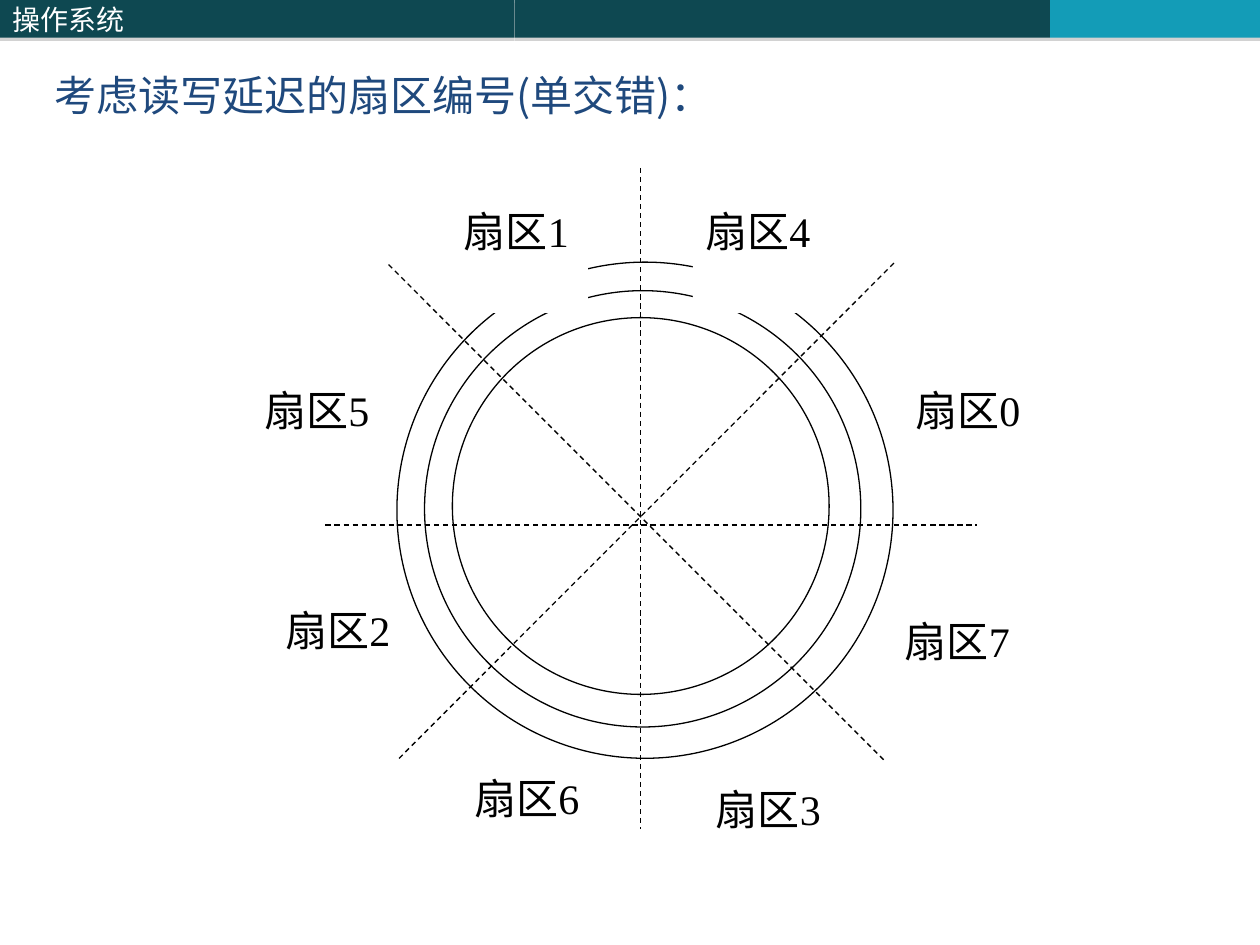
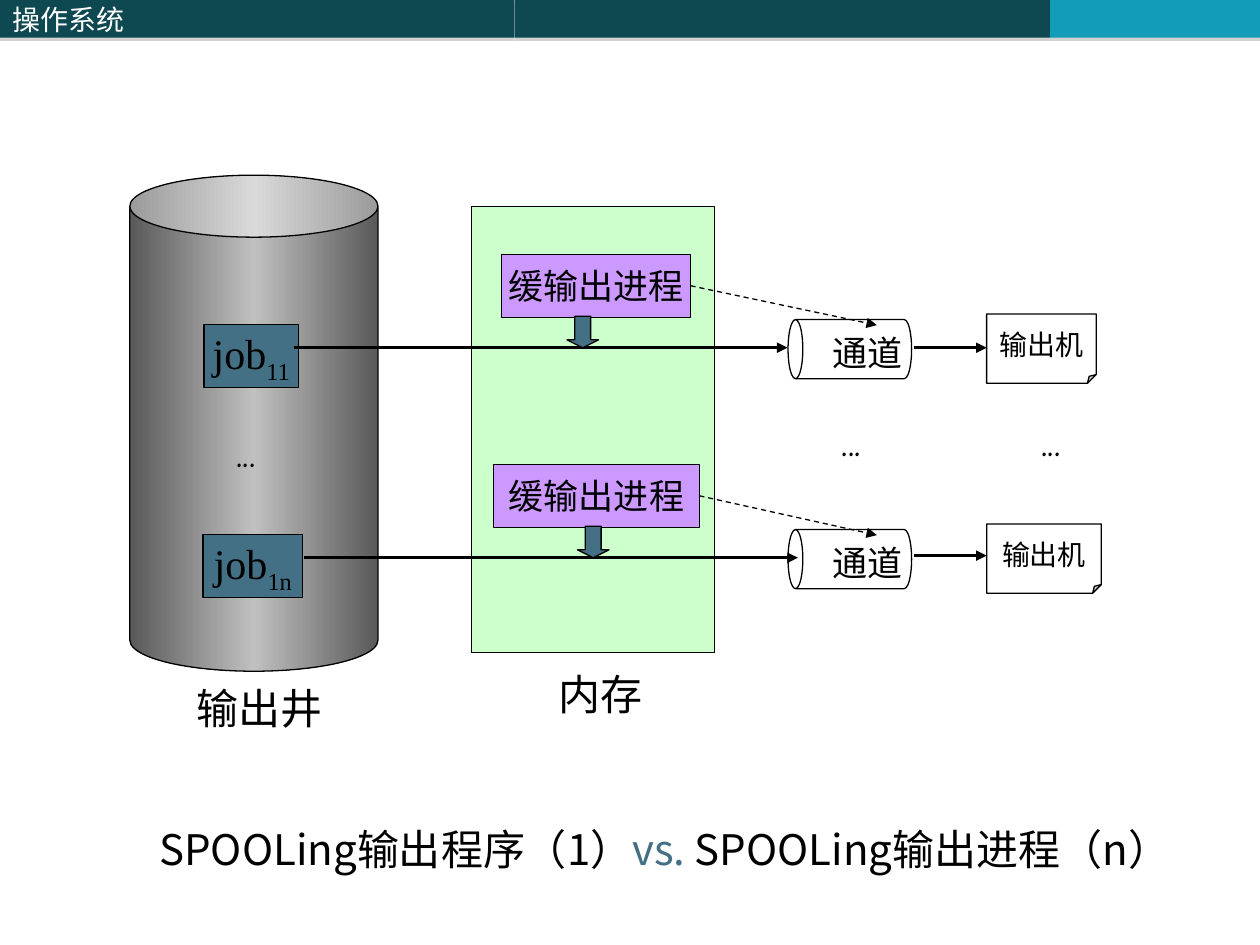
"""Build two operating-system slides: interleaved disk sectors and SPOOLing output."""
from copy import deepcopy

from pptx import Presentation
from pptx.dml.color import RGBColor
from pptx.enum.dml import MSO_LINE
from pptx.enum.shapes import MSO_CONNECTOR, MSO_SHAPE as SHAPE
from pptx.enum.text import MSO_ANCHOR as ANCHOR, PP_ALIGN as ALIGN
from pptx.oxml.ns import qn
from pptx.oxml.xmlchemy import OxmlElement
from pptx.util import Pt

BLACK = RGBColor(0x00, 0x00, 0x00)
WHITE = RGBColor(0xFF, 0xFF, 0xFF)
DARK_TEAL = RGBColor(0x0E, 0x48, 0x51)
CYAN = RGBColor(0x13, 0x9C, 0xB7)
TITLE_BLUE = RGBColor(0x1F, 0x49, 0x7D)
STEEL = RGBColor(0x43, 0x70, 0x85)
PALE_GREEN = RGBColor(0xCC, 0xFF, 0xCC)
VIOLET = RGBColor(0xCC, 0x99, 0xFF)
DARK_GREY = RGBColor(0x59, 0x59, 0x59)
SILVER = RGBColor(0xC0, 0xC0, 0xC0)

SANS = "Noto Sans CJK SC"
SERIF = "Times New Roman"
COMIC = "Comic Neue"
THIN, THICK = 0.75, 2
ROW_STEP = 120


def style_span(span, size, font, color):
    """Give a run its size, colour, and Latin and East Asian fonts."""
    span.font.size = Pt(size)
    span.font.name = font
    span.font.color.rgb = color
    east_asian = OxmlElement("a:ea")
    east_asian.set("typeface", SANS)
    span.font._element.find(qn("a:latin")).addnext(east_asian)


def write(shape, text, size=24, font=SANS, color=BLACK, wrap=True,
          align=ALIGN.LEFT, anchor=ANCHOR.TOP):
    """Write one styled paragraph into a shape and return the paragraph."""
    frame = shape.text_frame
    frame.text = text
    frame.word_wrap = wrap
    frame.vertical_anchor = anchor
    para = frame.paragraphs[0]
    para.alignment = align
    style_span(para.runs[0], size, font, color)
    return para


def add_span(para, text, size, font, color):
    """Append a styled run to a paragraph and return it."""
    span = para.add_run()
    span.text = text
    style_span(span, size, font, color)
    return span


def add_label(page, text, left, top, width, height=36, **style):
    """Add a text box with one styled paragraph and return the paragraph."""
    box = page.shapes.add_textbox(Pt(left), Pt(top), Pt(width), Pt(height))
    return write(box, text, **style)


def set_guides(shape, guides):
    """Set the named adjustment guides of a preset shape."""
    guide_list = shape._element.spPr.find(qn("a:prstGeom")).get_or_add_avLst()
    for guide in list(guide_list):
        guide_list.remove(guide)
    for name, value in guides.items():
        guide = OxmlElement("a:gd")
        guide.set("name", name)
        guide.set("fmla", f"val {value}")
        guide_list.append(guide)


def add_figure(page, kind, left, top, width, height, fill=None, outline=True,
               guides=None):
    """Add a flat preset shape with an optional fill and thin black outline."""
    shape = page.shapes.add_shape(kind, Pt(left), Pt(top), Pt(width), Pt(height))
    shape.shadow.inherit = False
    if fill is None:
        shape.fill.background()
    else:
        shape.fill.solid()
        shape.fill.fore_color.rgb = fill
    if outline:
        shape.line.color.rgb = BLACK
        shape.line.width = Pt(THIN)
    else:
        shape.line.fill.background()
    if guides:
        set_guides(shape, guides)
    return shape


def add_caption_figure(page, kind, text, left, top, width, height, fill, size,
                       font=SANS, guides=None):
    """Add an outlined shape with centred text and return its paragraph."""
    shape = add_figure(page, kind, left, top, width, height, fill, guides=guides)
    return write(shape, text, size, font, wrap=False, align=ALIGN.CENTER,
                 anchor=ANCHOR.MIDDLE)


def add_line(page, start, end, width=THIN, dashed=False, arrow=False):
    """Draw a straight black line, optionally dashed or with an arrowhead."""
    line = page.shapes.add_connector(
        MSO_CONNECTOR.STRAIGHT, *(Pt(value) for value in (*start, *end)))
    line.line.color.rgb = BLACK
    line.line.width = Pt(width)
    if dashed:
        line.line.dash_style = MSO_LINE.DASH
    if arrow:
        head = OxmlElement("a:tailEnd")
        head.set("type", "triangle")
        line._element.spPr.find(qn("a:ln")).append(head)
    line._element.spPr.append(OxmlElement("a:effectLst"))


def add_drop_shadow(shape):
    """Cast a sharp grey shadow just below a shape."""
    shadow = OxmlElement("a:outerShdw")
    for name, value in (("blurRad", 0), ("dist", int(Pt(1.8))), ("dir", 5400000),
                        ("algn", "ctr"), ("rotWithShape", 0)):
        shadow.set(name, str(value))
    color = OxmlElement("a:srgbClr")
    color.set("val", "808080")
    alpha = OxmlElement("a:alpha")
    alpha.set("val", "35000")
    color.append(alpha)
    shadow.append(color)
    shape._element.spPr.find(qn("a:effectLst")).append(shadow)


def add_metal_fill(shape):
    """Shade a shape from dark edges to a light middle."""
    fill = shape.fill
    fill.gradient()
    fill.gradient_angle = 0
    stop_list = shape._element.spPr.find(".//" + qn("a:gsLst"))
    stop_list.append(deepcopy(stop_list[0]))
    shades = ((0, DARK_GREY), (0.5, SILVER), (1, DARK_GREY))
    for stop, (position, color) in zip(fill.gradient_stops, shades):
        stop.position = position
        stop.color.rgb = color


def add_page(deck):
    """Add a blank page with the course header band."""
    page = deck.slides.add_slide(deck.slide_layouts[6])
    bands = [add_figure(page, SHAPE.RECTANGLE, left, 0, width, 21.6, fill, False)
             for left, width, fill in ((0, 294, DARK_TEAL), (294, 306, DARK_TEAL),
                                       (600, 120, CYAN))]
    for band in bands:
        add_drop_shadow(band)
    write(bands[0], "操作系统", 16, color=WHITE, anchor=ANCHOR.MIDDLE)
    return page


def build_sector_page(deck):
    """Draw the disk tracks, the sector borders and the sector numbers."""
    page = add_page(deck)
    for left, top, size in ((226.8, 149.8, 283.5), (242.6, 166.1, 249.3),
                            (258.5, 181.5, 215.3)):
        add_figure(page, SHAPE.OVAL, left, top, size, size, WHITE)
    for start, end in (((222, 151.2), (505.5, 434.7)),
                       ((228, 433.4), (511.2, 150)),
                       ((366, 96), (366, 474)),
                       ((186, 300), (558, 300))):
        add_line(page, start, end, dashed=True)
    sectors = {0: (516, 216), 7: (510, 348), 3: (402, 444), 6: (264, 438),
               2: (156, 342), 5: (144, 216), 1: (258, 114), 4: (396, 114)}
    for number, (left, top) in sectors.items():
        sector = add_figure(page, SHAPE.RECTANGLE, left, top, 78, 64.8, WHITE, False)
        write(sector, f"扇区{number}", font=SERIF)
    add_label(page, "考虑读写延迟的扇区编号(单交错)：", 24, 36, 624, color=TITLE_BLUE)


def add_channel(page, top):
    """Draw a lying cylinder with its channel label."""
    can = add_figure(page, SHAPE.CAN, 468.7, top, 33.8, 70.6, guides={"adj": 25000})
    can.rotation = 270
    add_label(page, "通道", 468.7, top + 21.6, 65.5, 31.7, size=20)


def add_job(page, index, left, top, width):
    """Draw a job box whose index is a subscript."""
    para = add_caption_figure(page, SHAPE.RECTANGLE, "job", left, top, width, 36,
                              STEEL, 24, SERIF)
    span = add_span(para, index, 24, SERIF, BLACK)
    span.font._element.set("baseline", "-25000")


def add_output_row(page, row, job, process, flow, arrow_left, printer_width, feed_y):
    """Draw one output path from job through channel to printer."""
    shift = row * ROW_STEP
    flow_y = 198.7 + shift
    add_channel(page, 164.2 + shift)
    add_job(page, *job)
    process_left, process_width = process
    process_top = 145.3 + shift
    add_caption_figure(page, SHAPE.RECTANGLE, "缓输出进程", process_left, process_top,
                       process_width, 36, VIOLET, 20)
    add_line(page, (flow[0], flow_y), (flow[1], flow_y), THICK, arrow=True)
    add_figure(page, SHAPE.DOWN_ARROW, arrow_left, 180.7 + shift, 18, 18, STEEL,
               guides={"adj1": 50000, "adj2": 25000})
    add_caption_figure(page, SHAPE.FOLDED_CORNER, "输出机", 563.8, 179.4 + shift,
                       printer_width, 39.6, WHITE, 16, guides={"adj": 12500})
    add_line(page, (522, feed_y), (563.8, feed_y), THICK, arrow=True)
    add_line(page, (process_left + process_width, process_top + 18),
             (501.1, 185.8 + shift), dashed=True, arrow=True)


def build_spooling_page(deck):
    """Draw the output well, the memory and both output paths."""
    page = add_page(deck)
    well = add_figure(page, SHAPE.CAN, 74.2, 100.1, 141.8, 283.5, SILVER,
                      guides={"adj": 25000})
    add_metal_fill(well)
    add_figure(page, SHAPE.RECTANGLE, 269.3, 118.1, 139, 254.9, PALE_GREEN)
    add_output_row(page, 0, ("11", 116.6, 185.6, 54), (286.6, 108), (168, 450),
                   324, 62.6, 198.7)
    add_output_row(page, 1, ("1n", 116, 305.6, 57), (282.2, 117.4), (174, 456),
                   330, 65.5, 317.5)
    for left, top, width in ((474, 233.3, 36), (588, 233.3, 36), (128, 239.8, 42)):
        add_label(page, "...", left, top, width, font=COMIC)
    add_label(page, "输出井", 105, 386.6, 96)
    add_label(page, "内存", 312, 378.7, 72)
    para = add_label(page, "SPOOLing输出程序（1）", 84, 467.3, 613.4, 64.8)
    add_span(para, "vs.", 24, SANS, STEEL)
    add_span(para, " SPOOLing输出进程（n）", 24, SANS, BLACK)


def main():
    """Build and save the deck."""
    deck = Presentation()
    deck.slide_width, deck.slide_height = Pt(720), Pt(540)
    build_sector_page(deck)
    build_spooling_page(deck)
    deck.save("out.pptx")


if __name__ == "__main__":
    main()
